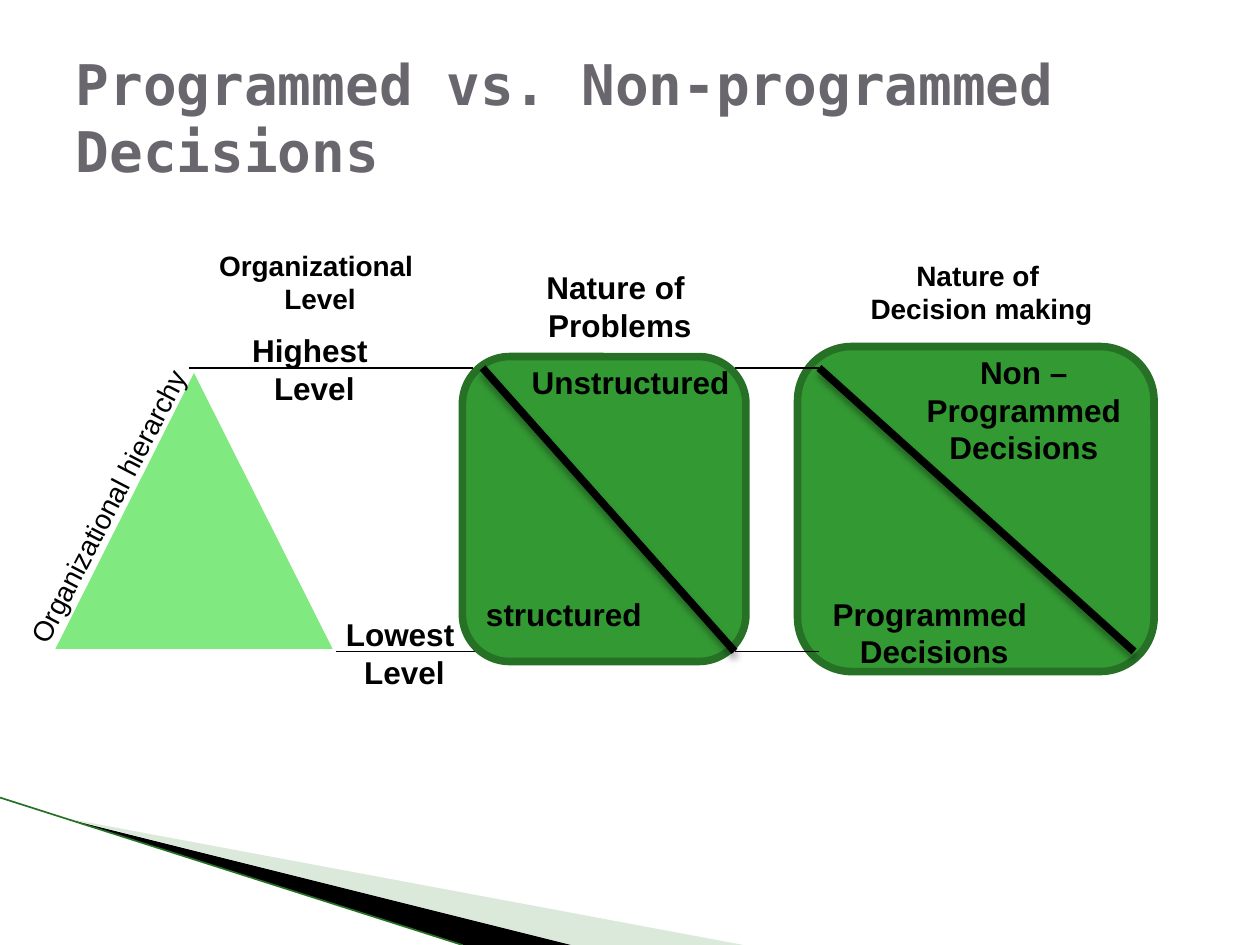
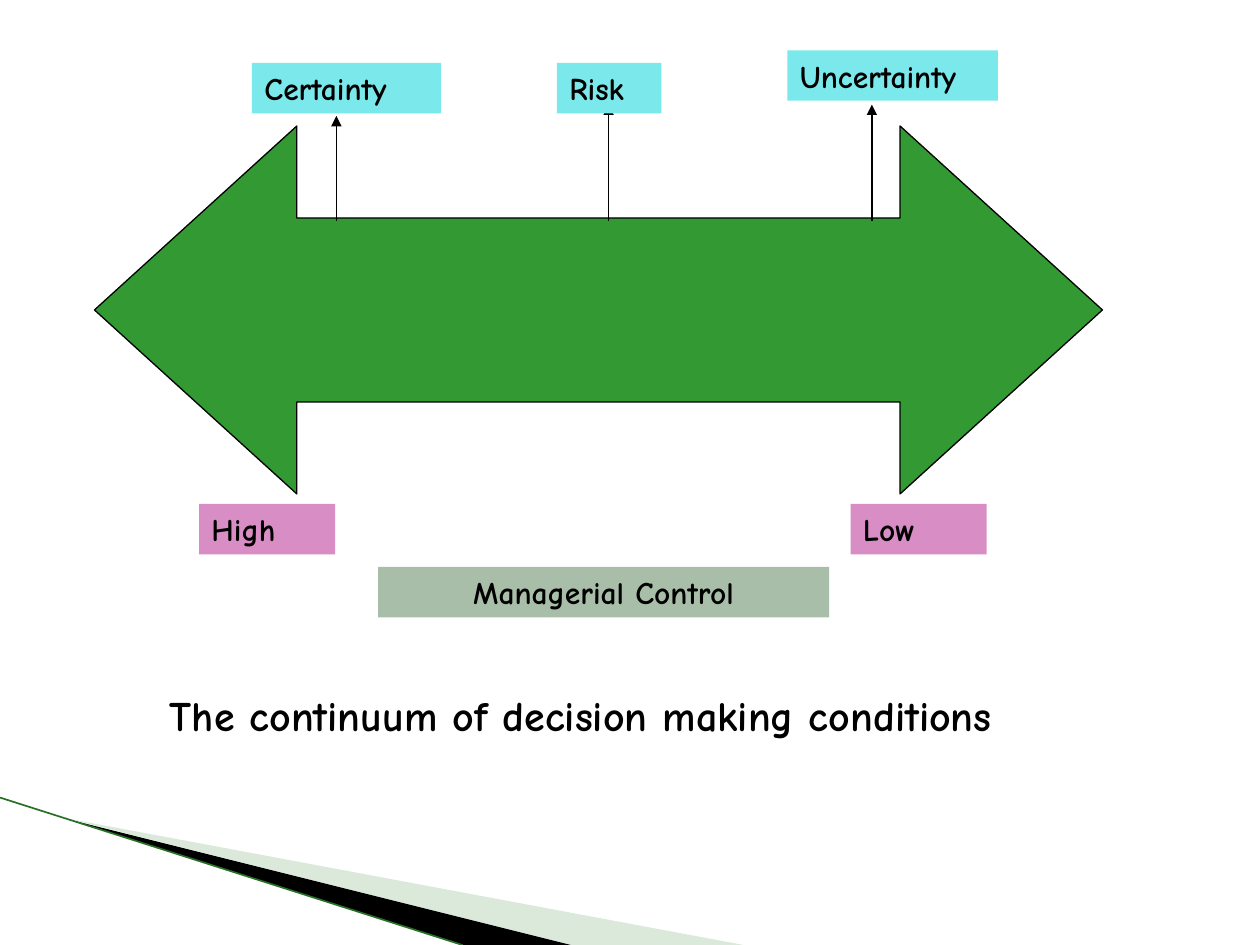
import collections

import pptx
import pptx.dml.color
import pptx.enum.shapes
import pptx.enum.text
import pptx.oxml
import pptx.oxml.ns
import pptx.util

Inches = pptx.util.Inches
Pt = pptx.util.Pt
RGBColor = pptx.dml.color.RGBColor
SHAPE = pptx.enum.shapes.MSO_SHAPE
ALIGN = pptx.enum.text.PP_ALIGN
ANCHOR = pptx.enum.text.MSO_ANCHOR

# Shared colours and fonts
BLACK = RGBColor(0x00, 0x00, 0x00)
TITLE_GRAY = RGBColor(0x69, 0x67, 0x6D)
GREEN = RGBColor(0x33, 0x99, 0x33)
DARK_GREEN = RGBColor(0x26, 0x71, 0x26)
LIGHT_GREEN = RGBColor(0x80, 0xE9, 0x80)
PALE_GREEN = RGBColor(0xDA, 0xE9, 0xDA)
SAGE = RGBColor(0xA8, 0xBE, 0xA9)
CYAN = RGBColor(0x7B, 0xE8, 0xEB)
PINK = RGBColor(0xD9, 0x8D, 0xC5)
TITLE_FONT = "DejaVu Sans Mono"
DIAGRAM_FONT = "Arial"
CONTINUUM_FONT = "Comic Neue"

Box = collections.namedtuple("Box", "left top width height")
DRAWING_NS = pptx.oxml.ns.nsdecls("a")
SOFT_SHADOW = (
    f'<a:effectLst {DRAWING_NS}><a:outerShdw blurRad="50800" dist="38100" dir="5400000">'
    '<a:srgbClr val="000000"><a:alpha val="35000"/></a:srgbClr></a:outerShdw></a:effectLst>'
)
NO_EFFECT = f"<a:effectLst {DRAWING_NS}/>"
ARROWHEAD = f'<a:tailEnd {DRAWING_NS} type="triangle"/>'


def to_emu(box):
    return [Inches(length) for length in box]


def paint(shape, fill, line=None, width=0.75):
    shape.shadow.inherit = False
    shape.fill.solid()
    shape.fill.fore_color.rgb = fill
    if line is None:
        shape.line.fill.background()
    else:
        shape.line.color.rgb = line
        shape.line.width = Pt(width)


def add_solid(page, kind, box, fill, line=None, width=0.75):
    shape = page.shapes.add_shape(kind, *to_emu(box))
    paint(shape, fill, line, width)
    return shape


def add_line(page, start, end, color=BLACK, width=0.75, effect=NO_EFFECT, arrow=False):
    line = page.shapes.add_connector(
        pptx.enum.shapes.MSO_CONNECTOR.STRAIGHT, *to_emu(start + end))
    line.line.color.rgb = color
    line.line.width = Pt(width)
    if arrow:
        line.line._get_or_add_ln().append(pptx.oxml.parse_xml(ARROWHEAD))
    line._element.spPr.append(pptx.oxml.parse_xml(effect))


def write(shape, lines, size, font, bold=True, align=ALIGN.CENTER, wrap=True):
    frame = shape.text_frame
    frame.word_wrap = wrap
    frame.vertical_anchor = ANCHOR.TOP
    for index, text in enumerate(lines):
        para = frame.add_paragraph() if index else frame.paragraphs[0]
        para.alignment = align
        span = para.add_run()
        span.text = text
        span.font.name = font
        span.font.size = Pt(size)
        span.font.bold = bold
        span.font.color.rgb = BLACK


def add_text(page, box, lines, size=18, font=DIAGRAM_FONT, **style):
    shape = page.shapes.add_textbox(*to_emu(box))
    write(shape, lines, size, font, **style)
    return shape


def add_corner_sweep(page):
    """Draw the swept wedges at the lower left of every slide."""
    wedges = (
        ([(0.55, 6.5), (5.9, 7.5), (4.52, 7.5)], PALE_GREEN),
        ([(0.53, 6.5), (4.53, 7.5), (3.68, 7.5)], BLACK),
    )
    for points, color in wedges:
        corners = [(Inches(x), Inches(y)) for x, y in points]
        builder = page.shapes.build_freeform(*corners[0], scale=1.0)
        builder.add_line_segments(corners[1:], close=True)
        paint(builder.convert_to_shape(), color)
    add_line(page, (0, 6.33), (3.67, 7.5), DARK_GREEN, 0.95)


def set_title(page, box, lines):
    title = page.shapes.title
    title.left, title.top, title.width, title.height = to_emu(box)
    title.text_frame.vertical_anchor = ANCHOR.MIDDLE
    para = title.text_frame.paragraphs[0]
    para.alignment = ALIGN.LEFT
    for index, text in enumerate(lines):
        if index:
            para.add_line_break()
        span = para.add_run()
        span.text = text
        span.font.name = TITLE_FONT
        span.font.size = Pt(32)
        span.font.bold = True
        span.font.color.rgb = TITLE_GRAY


def add_hierarchy(page, box):
    """Draw the organization triangle with the label along its left side."""
    add_solid(page, SHAPE.ISOSCELES_TRIANGLE, box, LIGHT_GREEN)
    label = add_text(page, Box(box.left - 0.97, box.top + 0.73, 2.92, 0.37),
                     ["Organizational hierarchy"], 16, bold=False, align=ALIGN.LEFT)
    label.rotation = 297.5


def add_panel(page, box, slope):
    """Draw a rounded panel split by a diagonal running between two offsets."""
    add_solid(page, SHAPE.ROUNDED_RECTANGLE, box, GREEN, DARK_GREEN, 4.33)
    start, end = [(box.left + x, box.top + y) for x, y in slope]
    add_line(page, start, end, width=4.33, effect=SOFT_SHADOW)


def build_decision_types(deck):
    page = deck.slides.add_slide(deck.slide_layouts[5])
    add_corner_sweep(page)
    set_title(page, Box(0.5, 0.3, 9, 1.25),
              ["Programmed vs. Non-programmed ", "Decisions"])

    # Triangle, panels and the lines marking the top and bottom levels
    top_level, low_level = 2.92, 5.17
    add_line(page, (2.67, low_level), (3.83, low_level))
    add_hierarchy(page, Box(0.44, 2.96, 2.2, 2.19))
    problems = Box(3.67, 2.83, 2.25, 2.42)
    decisions = Box(6.33, 2.75, 2.83, 2.58)
    add_panel(page, problems, ((0.16, 0.09), (2.16, 2.34)))
    add_panel(page, decisions, ((0.17, 0.17), (2.67, 2.42)))
    add_line(page, (1.5, top_level), (3.75, top_level))
    for level in (top_level, low_level):
        add_line(page, (5.83, level), (6.5, level))

    # Column headings
    add_text(page, Box(1.33, 1.92, 2.42, 0.64), ["Organizational ", "Level"], 16)
    add_text(page, Box(3.67, 2.08, 2.5, 0.71), ["Nature of ", "Problems"])
    add_text(page, Box(6.58, 2, 2.42, 0.64), ["Nature of ", "Decision making"], 16)

    # Level names and panel labels
    add_text(page, Box(1.08, 2.58, 2.83, 0.71), ["Highest ", "Level"])
    add_text(page, Box(2.25, 4.83, 1.92, 0.71), ["Lowest ", "Level"])
    add_text(page, Box(3.67, 2.83, 2.67, 0.4), ["Unstructured"])
    add_text(page, Box(3.75, 4.67, 1.45, 0.4), ["structured"], wrap=False)
    add_text(page, Box(7, 2.75, 2.25, 1.01), ["Non –Programmed", "Decisions"])
    add_text(page, Box(6.5, 4.67, 1.83, 0.71), ["Programmed ", "Decisions"], wrap=False)


def add_tag(page, left, top, width, text, fill, align=ALIGN.LEFT):
    tag = add_solid(page, SHAPE.RECTANGLE, Box(left, top, width, 0.4), fill)
    write(tag, [text], 18, CONTINUUM_FONT, align=align)


def add_continuum(page, box):
    """Draw the double arrow, its conditions above and control levels below."""
    arrow = add_solid(page, SHAPE.LEFT_RIGHT_ARROW, box, GREEN, BLACK)
    arrow.adjustments[0] = 0.5
    arrow.adjustments[1] = 0.55

    # Pointer offset and tip, then tag offset, rise and width
    conditions = (
        ("Certainty", 1.92, 0.08, 1.25, 0.5, 1.5),
        ("Risk", 4.08, 0.17, 3.67, 0.5, 0.83),
        ("Uncertainty", 6.17, 0.17, 5.5, 0.6, 1.67),
    )
    for text, pointer, tip, offset, rise, width in conditions:
        x = box.left + pointer
        add_line(page, (x, box.top + 0.75), (x, box.top - tip), arrow=True)
        add_tag(page, box.left + offset, box.top - rise, width, text, CYAN)

    for text, offset in (("High", 0.83), ("Low", 6)):
        add_tag(page, box.left + offset, box.top + 3, 1.08, text, PINK)
    add_tag(page, box.left + 2.25, box.top + 3.5, 3.58, "Managerial Control",
            SAGE, ALIGN.CENTER)


def build_conditions(deck):
    page = deck.slides.add_slide(deck.slide_layouts[6])
    add_corner_sweep(page)
    add_continuum(page, Box(0.75, 1, 8, 2.92))
    add_text(page, Box(1.25, 5.42, 7.75, 0.5),
             ["The continuum of decision making conditions"],
             24, CONTINUUM_FONT, align=ALIGN.LEFT)


def main():
    deck = pptx.Presentation()
    deck.slide_width, deck.slide_height = Inches(10), Inches(7.5)
    build_decision_types(deck)
    build_conditions(deck)
    deck.save("out.pptx")


if __name__ == "__main__":
    main()
